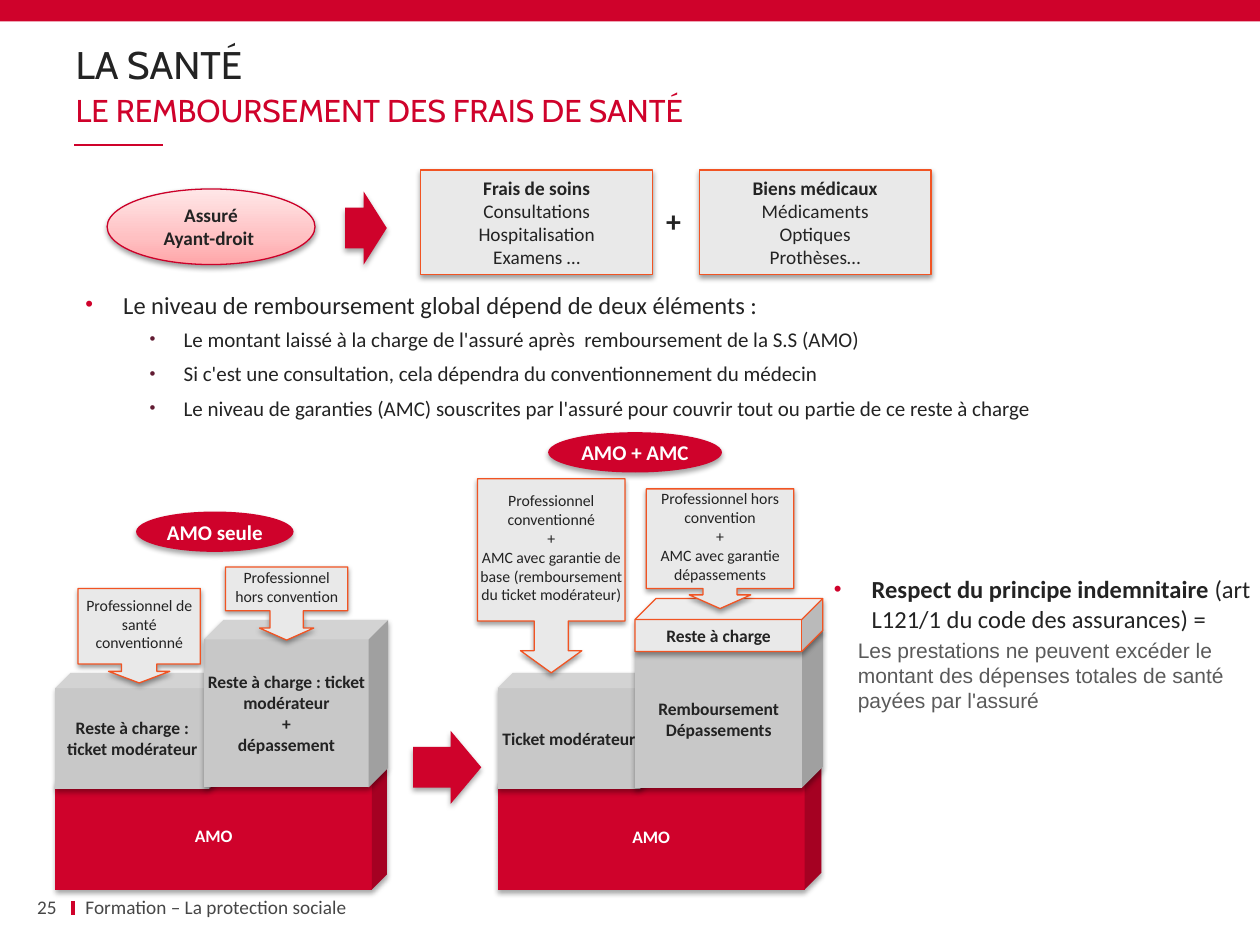
import copy

import pptx
import pptx.dml.color
import pptx.enum.shapes
import pptx.enum.text
import pptx.oxml.ns
import pptx.util
from lxml import etree

RGB = pptx.dml.color.RGBColor
RED = RGB(0xCF, 0x02, 0x2B)
ROSE = RGB(0xCC, 0x00, 0x29)
WINE = RGB(0x61, 0x1B, 0x32)
ORANGE = RGB(0xF1, 0x54, 0x23)
PALE = RGB(0xE9, 0xE9, 0xE9)
GREY = RGB(0xC8, 0xC8, 0xC8)
INK = RGB(0x23, 0x23, 0x23)
SLATE = RGB(0x46, 0x46, 0x46)
ASH = RGB(0x5A, 0x5A, 0x5A)
WHITE = RGB(0xFF, 0xFF, 0xFF)
BLUSH = [(0, RGB(0xFF, 0xA6, 0xA9)), (0.35, RGB(0xFF, 0xC0, 0xC2)), (1, RGB(0xFF, 0xE7, 0xE8))]

KIND = pptx.enum.shapes.MSO_SHAPE
ALIGN = pptx.enum.text.PP_ALIGN
ANCHOR = pptx.enum.text.MSO_ANCHOR
Pt = pptx.util.Pt
Inches = pptx.util.Inches
qn = pptx.oxml.ns.qn


def node(parent, tag, **attrs):
    """Add a drawing element with its attributes."""
    return etree.SubElement(parent, qn("a:" + tag), {k: str(v) for k, v in attrs.items()})


def write(frame, text, lead="", size=11, color=INK, bold=False, font="Calibri",
          align=ALIGN.LEFT, before=0, after=0, space=None, left=0, hang=0, dot=None, scale=90):
    """Add one formatted paragraph per line of text, after an optional bold lead."""
    for line in text.split("\n"):
        para = frame.add_paragraph() if frame.text else frame.paragraphs[0]
        para.alignment = align
        para.space_before, para.space_after = Pt(before), Pt(after)
        if space:
            para.line_spacing = space
        for words, heavy in ((lead, True), (line, bold)):
            if words:
                run = para.add_run()
                run.text = words
                run.font.size, run.font.name, run.font.bold = Pt(size), font, heavy
                run.font.color.rgb = color
        props = para._p.get_or_add_pPr()
        props.set("marL", str(Inches(left)))
        props.set("indent", str(-Inches(hang)))
        if dot is not None:
            node(node(props, "buClr"), "srgbClr", val=dot)
            node(props, "buSzPct", val=scale * 1000)
            node(props, "buFont", typeface="Arial")
            node(props, "buChar", char="•")


class Page:
    """Hold the style and the slide, on a grid of 100 columns by 75 rows."""

    def __init__(self, deck):
        self.slide = deck.slides.add_slide(deck.slide_layouts[6])
        self.shapes = self.slide.shapes
        self.cell = deck.slide_width / 100

    def grid(self, spots):
        """Turn grid steps into lengths."""
        return [round(spot * self.cell) for spot in spots]

    def frame(self, shape, inset, middle=True, wrap=True):
        """Set up the text frame of a shape."""
        frame = shape.text_frame
        frame.word_wrap = wrap
        frame.vertical_anchor = ANCHOR.MIDDLE if middle else ANCHOR.TOP
        (frame.margin_left, frame.margin_top,
         frame.margin_right, frame.margin_bottom) = map(Inches, inset)
        return frame

    def label(self, box, inset=(0.1, 0.05, 0.1, 0.05), middle=True):
        """Add a text box and return its frame."""
        return self.frame(self.shapes.add_textbox(*self.grid(box)), inset, middle)

    def block(self, kind, box, fill=RED, line=None, adj=(), inset=(0, 0, 0, 0),
              wrap=True, shade=True):
        """Add a preset shape and return its frame."""
        shape = self.shapes.add_shape(kind, *self.grid(box))
        for index, value in enumerate(adj):
            shape.adjustments[index] = value
        if isinstance(fill, list):
            self.blend(shape, fill)
        else:
            shape.fill.solid()
            shape.fill.fore_color.rgb = fill
        if line is None:
            shape.line.fill.background()
        else:
            shape.line.color.rgb = line
            shape.line.width = Pt(0.75)
        shape.shadow.inherit = False
        if shade:
            dist, alpha = (1.8, 35) if line is None else (1.6, 38)
            cast = node(shape._element.spPr.find(qn("a:effectLst")), "outerShdw",
                        blurRad=Pt(3.1), dist=Pt(dist), dir=5400000, rotWithShape=0)
            node(node(cast, "srgbClr", val="000000"), "alpha", val=alpha * 1000)
        return self.frame(shape, inset, wrap=wrap)

    def blend(self, shape, stops):
        """Fill a shape with a three-stop upward gradient."""
        shape.fill.gradient()
        shape.fill.gradient_angle = 90
        chain = shape._element.spPr.find(".//" + qn("a:gsLst"))
        chain.insert(1, copy.deepcopy(chain[0]))
        for stop, (place, color) in zip(shape.fill.gradient_stops, stops):
            stop.color.rgb = color
            stop.position = place

    def rule(self, ends, width):
        """Add a straight red line."""
        line = self.shapes.add_connector(pptx.enum.shapes.MSO_CONNECTOR.STRAIGHT, *self.grid(ends))
        line.line.color.rgb = RED
        line.line.width = Pt(width)
        node(line._element.spPr, "effectLst")

    def oval(self, box, text):
        """Add a red oval heading."""
        frame = self.block(KIND.OVAL, box, inset=(0.06, 0.01, 0.06, 0.01), wrap=False)
        write(frame, text, size=12, color=WHITE, bold=True, align=ALIGN.CENTER)

    def arrow(self, box, adj):
        """Add a red arrow to the right."""
        self.block(KIND.RIGHT_ARROW, box, adj=adj)

    def cube(self, box, depth, text, fill=GREY, line=None):
        """Add a labelled cube."""
        frame = self.block(KIND.CUBE, box, fill, line, [depth])
        write(frame, text, size=10, color=WHITE if fill == RED else INK, bold=True,
              align=ALIGN.CENTER)

    def call(self, box, adj, text):
        """Add a callout that points down."""
        frame = self.block(KIND.DOWN_ARROW_CALLOUT, box, PALE, ORANGE, adj,
                           (0.02, 0.05, 0.02, 0.09))
        write(frame, text, size=9, align=ALIGN.CENTER)


def main():
    """Build the slide on health cost refunds."""
    deck = pptx.Presentation()
    deck.slide_width, deck.slide_height = Inches(10), Inches(7.5)
    page = Page(deck)

    page.rule((5.8, 71.5, 5.8, 72.6), 2.25)
    page.rule((5.9, 11.5, 12.9, 11.5), 1)
    page.block(KIND.RECTANGLE, (0, 0, 100, 1.7), shade=False)
    flat = (0, 0.05, 0, 0.05)
    write(page.label((6, 3.5, 88, 3.6), flat), "LA SANTÉ", size=22, font="Cabin", space=0.9)
    write(page.label((1.3, 71.1, 3.2, 1.8), flat), "25", color=SLATE, align=ALIGN.RIGHT)
    write(page.label((6, 7.2, 88, 3), flat), "LE REMBOURSEMENT DES FRAIS DE SANTÉ",
          size=18, color=RED, font="Cabin")

    for left, head, items in (
            (55.5, "Biens médicaux", "Médicaments\nOptiques\nProthèses…"),
            (33.4, "Frais de soins", "Consultations\nHospitalisation\nExamens …")):
        card = page.block(KIND.RECTANGLE, (left, 13.5, 18.4, 8.3), PALE, ORANGE)
        write(card, head, bold=True, align=ALIGN.CENTER)
        write(card, items, align=ALIGN.CENTER)

    points = page.label((5.8, 22.5, 93.3, 11.1), middle=False)
    write(points, "Le niveau de remboursement global dépend de deux éléments :",
          size=14, left=0.3, hang=0.3, dot=RED)
    write(points, "Le montant laissé à la charge de l'assuré après  remboursement de la S.S (AMO)\n"
          "Si c'est une consultation, cela dépendra du conventionnement du médecin\n"
          "Le niveau de garanties (AMC) souscrites par l'assuré pour couvrir tout ou partie "
          "de ce reste à charge",
          size=12, before=4.1, after=1.2, left=0.78, hang=0.27, dot=WINE, scale=80)

    page.arrow((27.4, 15.2, 3.3, 5.8), (0.558, 0.556))
    write(page.block(KIND.OVAL, (8.5, 15, 16.5, 6), BLUSH, ROSE,
                     inset=(0.06, 0.01, 0.06, 0.01), wrap=False),
          "Assuré\nAyant-droit ", bold=True, align=ALIGN.CENTER)

    note = page.label((65.2, 45.1, 36.6, 12.4), middle=False)
    write(note, "(art L121/1 du code des assurances) =", lead="Respect du principe indemnitaire ",
          size=14, left=0.3, hang=0.3, dot=RED)
    write(note, "Les prestations ne peuvent excéder le montant des dépenses totales de santé "
          "payées par l'assuré", size=12, color=ASH, font="Arial", before=2.4, left=0.19)
    write(page.label((51.8, 15.6, 3.3, 3.9), middle=False), "+", size=17, bold=True,
          align=ALIGN.CENTER)

    page.oval((43.5, 34.3, 13.8, 3.2), "AMO + AMC")
    page.oval((10.8, 40.6, 12.5, 3.2), "AMO seule")
    page.arrow((32.8, 58, 5.4, 5.8), (0.557, 0.45))

    rest = "Reste à charge : ticket modérateur"
    page.cube((39.5, 60.9, 25.7, 9.7), 0.138, "AMO", RED)
    page.cube((39.5, 53.4, 12.5, 9.2), 0.131, "Ticket modérateur")
    page.cube((50.4, 50, 14.9, 12.5), 0.131, "Remboursement\nDépassements")
    page.cube((50.4, 47.5, 14.9, 4.2), 0.396, "Reste à charge", PALE, ORANGE)
    page.cube((4.4, 60.9, 26.3, 9.7), 0.122, "AMO", RED)
    page.cube((4.4, 53.4, 13.4, 9.2), 0.131, rest)
    page.cube((16.2, 49.2, 14.6, 13.3), 0.116, rest + "\n+\ndépassement")

    page.call((6.2, 46.7, 9.7, 7.5), (0.373, 0.324, 0.122, 0.801),
              "Professionnel de santé conventionné")
    page.call((37.9, 38, 11.7, 15.4), (0.231, 0.208, 0.15, 0.733),
              "Professionnel conventionné\n+\n"
              "AMC avec garantie de base (remboursement du ticket modérateur)")
    page.call((17.9, 45, 9.7, 5.8), (0.455, 0.371, 0.164, 0.598),
              "Professionnel hors convention")
    page.call((51.3, 38.8, 11.7, 9.5), (0.285, 0.257, 0.114, 0.832),
              "Professionnel hors convention\n+\nAMC avec garantie dépassements")

    write(page.label((5.8, 71.1, 49.7, 1.8)), "Formation – La protection sociale", color=SLATE)
    deck.save("out.pptx")


if __name__ == "__main__":
    main()
